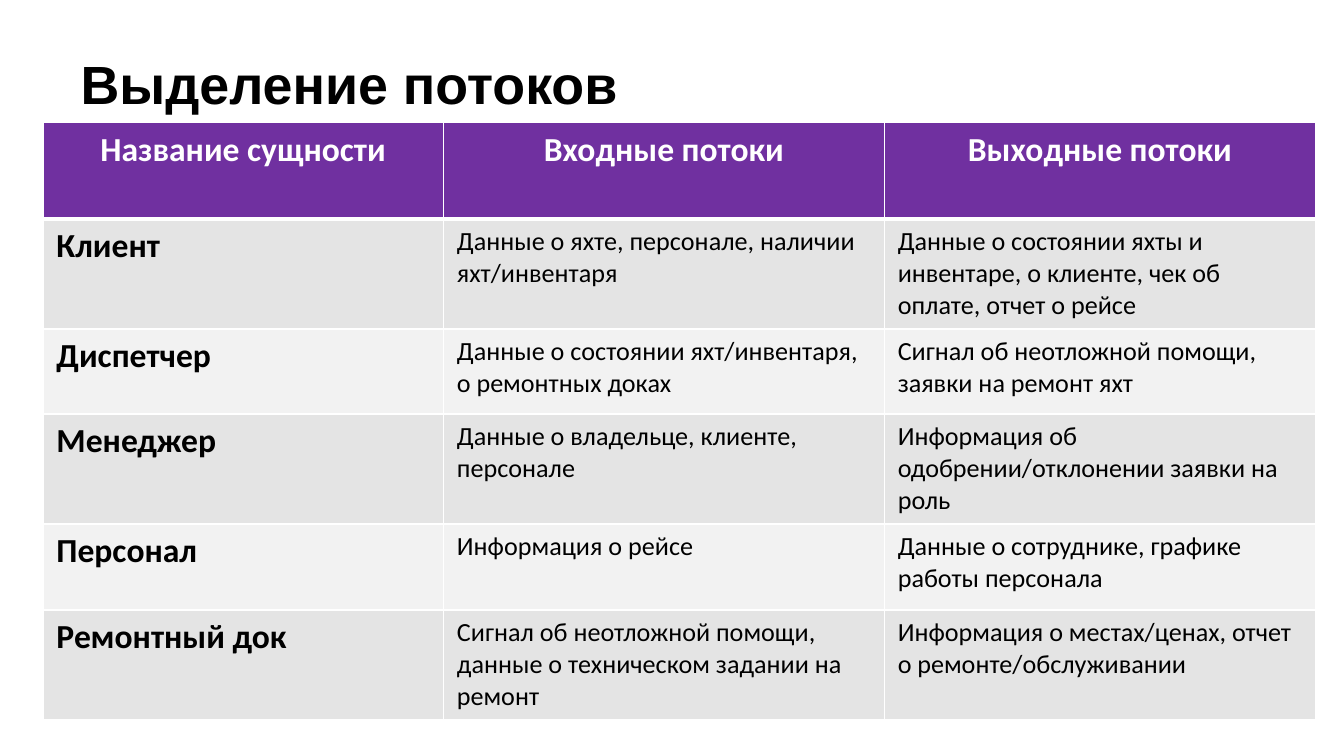
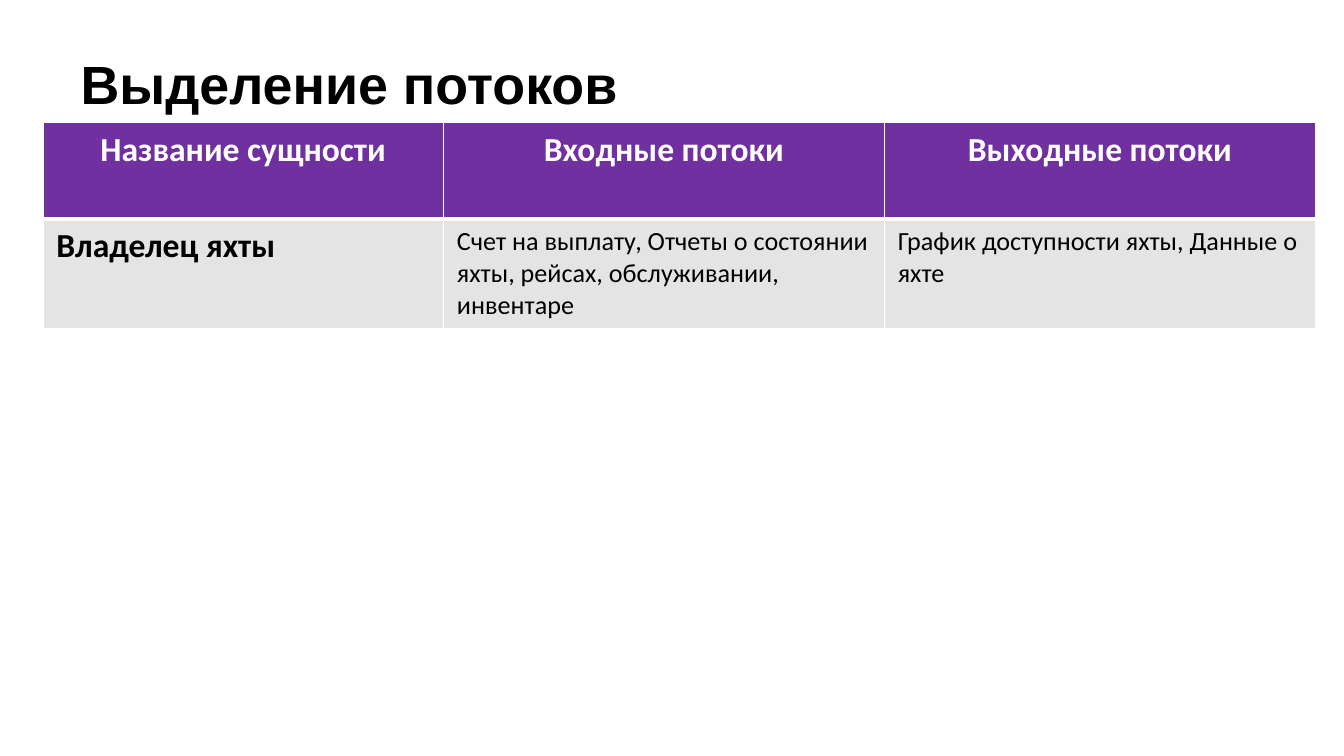
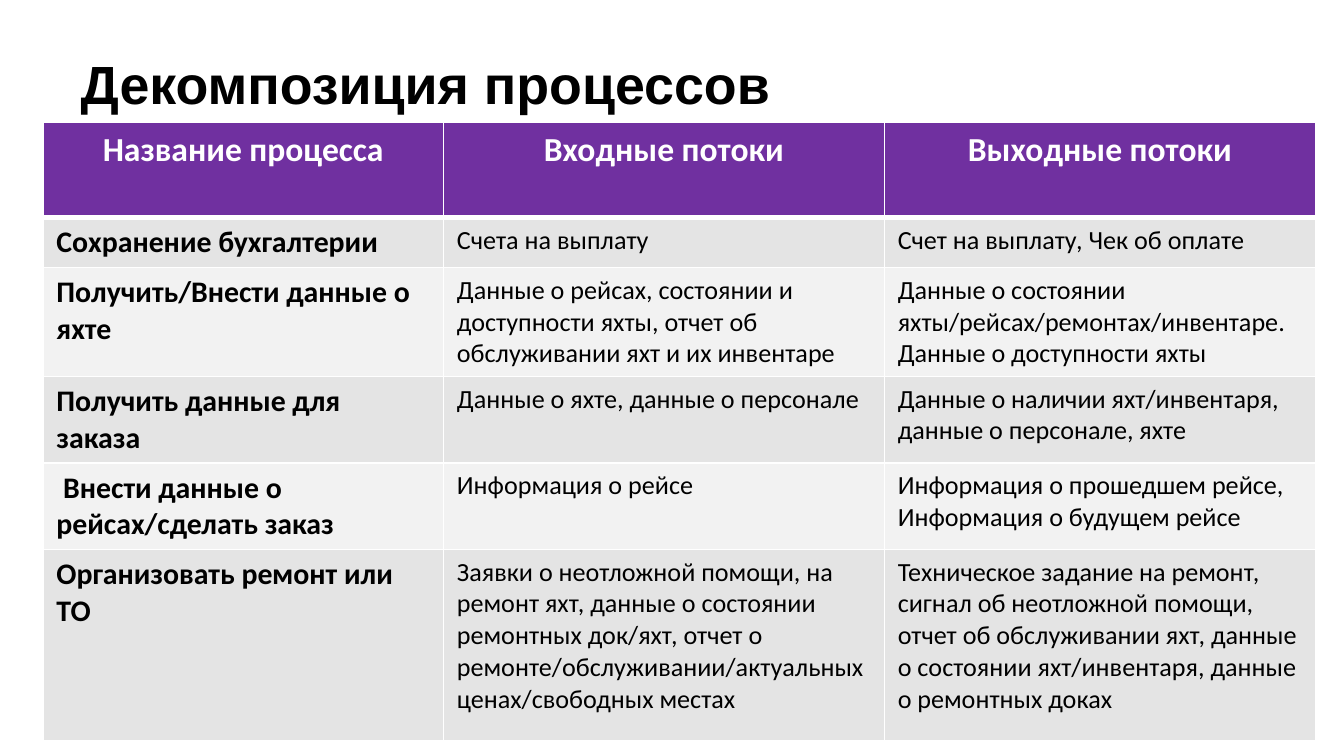
from dataclasses import dataclass

from lxml import etree
from pptx import Presentation
from pptx.dml.color import RGBColor
from pptx.enum.text import MSO_ANCHOR, MSO_AUTO_SIZE, PP_ALIGN
from pptx.oxml.ns import qn
from pptx.util import Inches, Pt

MIDDLE = MSO_ANCHOR.MIDDLE
NO_AUTOFIT = MSO_AUTO_SIZE.NONE
LEFT, CENTER = PP_ALIGN.LEFT, PP_ALIGN.CENTER

# Shared look
SLIDE_WIDTH = Inches(10)
SLIDE_HEIGHT = SLIDE_WIDTH * 9 // 16
WHITE = RGBColor(0xFF, 0xFF, 0xFF)
BLACK = RGBColor(0x00, 0x00, 0x00)
PURPLE = RGBColor(0x70, 0x30, 0xA0)
BANDS = (RGBColor(0xE4, 0xE4, 0xE4), RGBColor(0xF2, 0xF2, 0xF2))
TITLE_FONT, TABLE_FONT = "Arial", "Calibri"
TITLE_SIZE, HEADER_SIZE, FLOW_SIZE = 28.8, 18, 14
COLUMN_WIDTHS = (2.98, 3.28, 3.21)
TITLE_ONLY = 5


@dataclass(frozen=True)
class CellStyle:
    size: float
    bold: bool
    color: RGBColor
    fill: RGBColor
    align: int = LEFT
    bottom_border: float = 1


@dataclass(frozen=True)
class FlowRow:
    name: str
    inputs: str
    outputs: str
    height: float


@dataclass(frozen=True)
class FlowSlide:
    title: str
    subject: str
    rows: tuple[FlowRow, ...]
    header_height: float = 0.72
    name_size: float = 18


# Content
FLOW_SLIDES = (
    FlowSlide("Выделение потоков", "Название сущности", (
        FlowRow("Клиент",
                "Данные о яхте, персонале, наличии яхт/инвентаря",
                "Данные о состоянии яхты и инвентаре, о клиенте, чек об оплате, "
                "отчет о рейсе", 0.82),
        FlowRow("Диспетчер",
                "Данные о состоянии яхт/инвентаря, о ремонтных доках",
                "Сигнал об неотложной помощи, заявки на ремонт яхт", 0.63),
        FlowRow("Менеджер",
                "Данные о владельце, клиенте, персонале",
                "Информация об одобрении/отклонении заявки на роль", 0.82),
        FlowRow("Персонал",
                "Информация о рейсе",
                "Данные о сотруднике, графике работы персонала", 0.64),
        FlowRow("Ремонтный док",
                "Сигнал об неотложной помощи, данные о техническом задании на ремонт",
                "Информация о местах/ценах, отчет о ремонте/обслуживании", 0.82),
    )),
    FlowSlide("Выделение потоков", "Название сущности", (
        FlowRow("Владелец яхты",
                "Счет на выплату, Отчеты о состоянии яхты, рейсах, обслуживании, "
                "инвентаре",
                "График доступности яхты, Данные о яхте", 0.82),
    )),
    FlowSlide("Декомпозиция процессов", "Название процесса", (
        FlowRow("Сохранение бухгалтерии",
                "Счета на выплату",
                "Счет на выплату, Чек об оплате", 0.36),
        FlowRow("Получить/Внести данные о яхте",
                "Данные о рейсах, состоянии и доступности яхты, отчет об "
                "обслуживании яхт и их инвентаре",
                "Данные о состоянии яхты/рейсах/ремонтах/инвентаре.\n"
                "Данные о доступности яхты", 0.79),
        FlowRow("Получить данные для заказа",
                "Данные о яхте, данные о персонале",
                "Данные о наличии яхт/инвентаря, данные о персонале, яхте", 0.56),
        FlowRow(" Внести данные о рейсах/сделать заказ",
                "Информация о рейсе",
                "Информация о прошедшем рейсе, Информация о будущем рейсе", 0.62),
        FlowRow("Организовать ремонт или ТО",
                "Заявки о неотложной помощи, на ремонт яхт, данные о состоянии "
                "ремонтных док/яхт, отчет о ремонте/обслуживании/актуальных "
                "ценах/свободных местах",
                "Техническое задание на ремонт, сигнал об неотложной помощи, "
                "отчет об обслуживании яхт, данные о состоянии яхт/инвентаря, "
                "данные о ремонтных доках", 1.42),
    ), header_height=0.71, name_size=16),
)


def format_text(text_frame, font_name: str, size: float, bold: bool,
                color: RGBColor, align: int) -> None:
    for paragraph in text_frame.paragraphs:
        paragraph.alignment = align
        for run in paragraph.runs:
            run.font.name = font_name
            run.font.size = Pt(size)
            run.font.bold = bold
            run.font.color.rgb = color


def set_borders(cell, bottom: float) -> None:
    """Draw white cell borders; the lines must precede the fill in tcPr."""
    properties = cell._tc.get_or_add_tcPr()
    widths = {"a:lnL": 1, "a:lnR": 1, "a:lnT": 1, "a:lnB": bottom}
    for position, (tag, width) in enumerate(widths.items()):
        line = etree.Element(qn(tag), w=str(Pt(width)))
        fill = etree.SubElement(line, qn("a:solidFill"))
        etree.SubElement(fill, qn("a:srgbClr"), val=str(WHITE))
        properties.insert(position, line)


def fill_cell(cell, text: str, style: CellStyle) -> None:
    cell.text_frame.text = text
    format_text(cell.text_frame, TABLE_FONT, style.size, style.bold,
                style.color, style.align)
    cell.fill.solid()
    cell.fill.fore_color.rgb = style.fill
    set_borders(cell, style.bottom_border)


def add_title(slide, text: str) -> None:
    title = slide.shapes.title
    title.left, title.top = Inches(0.5), Inches(0.33)
    title.width, title.height = Inches(7.46), Inches(0.58)
    frame = title.text_frame
    frame.text = text
    frame.word_wrap = True
    frame.auto_size = NO_AUTOFIT
    frame.vertical_anchor = MIDDLE
    format_text(frame, TITLE_FONT, TITLE_SIZE, True, BLACK, LEFT)


def add_flow_table(slide, content: FlowSlide) -> None:
    heights = [content.header_height] + [row.height for row in content.rows]
    table = slide.shapes.add_table(
        len(heights), len(COLUMN_WIDTHS), Inches(0.32), Inches(0.91),
        Inches(sum(COLUMN_WIDTHS)), Inches(sum(heights))).table
    for column, width in zip(table.columns, COLUMN_WIDTHS):
        column.width = Inches(width)
    for table_row, height in zip(table.rows, heights):
        table_row.height = Inches(height)

    # Header row
    header = CellStyle(HEADER_SIZE, True, WHITE, PURPLE, CENTER, 3)
    headings = (content.subject, "Входные потоки", "Выходные потоки")
    for column, heading in enumerate(headings):
        fill_cell(table.cell(0, column), heading, header)

    # Banded rows: bold name, then its flows
    for index, row in enumerate(content.rows):
        band = BANDS[index % 2]
        name = CellStyle(content.name_size, True, BLACK, band)
        flow = CellStyle(FLOW_SIZE, False, BLACK, band)
        cells = ((row.name, name), (row.inputs, flow), (row.outputs, flow))
        for column, (text, style) in enumerate(cells):
            fill_cell(table.cell(index + 1, column), text, style)


def main() -> None:
    presentation = Presentation()
    presentation.slide_width = SLIDE_WIDTH
    presentation.slide_height = SLIDE_HEIGHT
    for content in FLOW_SLIDES:
        slide = presentation.slides.add_slide(
            presentation.slide_layouts[TITLE_ONLY])
        add_title(slide, content.title)
        add_flow_table(slide, content)
    presentation.save("out.pptx")


if __name__ == "__main__":
    main()
